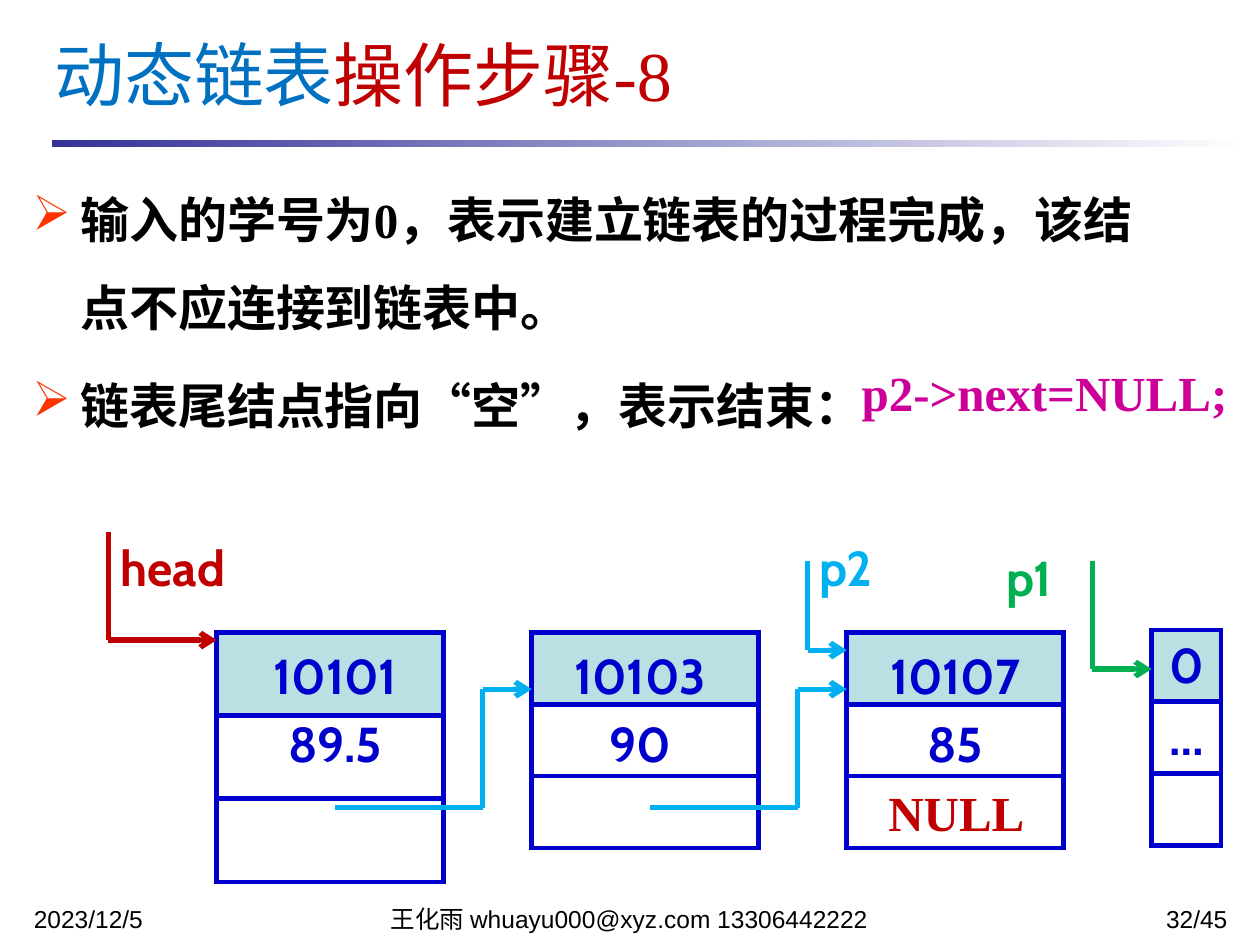
import dataclasses

import pptx
import pptx.dml.color
import pptx.enum.shapes
import pptx.enum.text
import pptx.oxml
import pptx.oxml.ns
import pptx.util
from pptx.util import Inches

ALIGN = pptx.enum.text.PP_ALIGN
ANCHOR = pptx.enum.text.MSO_ANCHOR


@dataclasses.dataclass(frozen=True)
class Theme:
    black: str = "000000"
    white: str = "FFFFFF"
    title_blue: str = "0070C0"
    red: str = "C00000"
    bar: str = "333399"
    bullet: str = "FF3300"
    border: str = "0000CC"
    header: str = "BBE0E3"
    green: str = "00B050"
    sky: str = "00B0F0"
    code: str = "CC0099"
    serif: str = "Times New Roman"
    sans: str = "Arial"
    label: str = "Cabin"
    asian: str = "Noto Sans CJK SC"
    title_size: int = 40
    text_size: int = 28
    footer_size: int = 14
    line_width: int = 3


def color(value):
    return pptx.dml.color.RGBColor.from_string(value)


def add_xml(parent, tag, inner="", **attributes):
    pairs = "".join(f' {key}="{value}"' for key, value in attributes.items())
    parent.append(pptx.oxml.parse_xml(
        f'<a:{tag} {pptx.oxml.ns.nsdecls("a")}{pairs}>{inner}</a:{tag}>'))


class Painter:
    """Draws themed elements on the current page."""

    def __init__(self, theme, page):
        self.theme = theme
        self.page = page

    def span(self, para, text, ink, size=None, font=None, bold=True):
        span = para.add_run()
        span.text = text
        span.font.size = pptx.util.Pt(size or self.theme.text_size)
        span.font.bold = bold
        span.font.color.rgb = color(ink)
        span.font.name = font or self.theme.label
        add_xml(span.font._element, "ea", typeface=self.theme.asian)

    def title(self, parts, left, top, width, height):
        box = self.page.shapes.title
        box.left, box.top, box.width, box.height = map(Inches, (left, top, width, height))
        box.text_frame.vertical_anchor = ANCHOR.MIDDLE
        para = box.text_frame.paragraphs[0]
        para.alignment = ALIGN.LEFT
        for text, ink in parts:
            self.span(para, text, ink, self.theme.title_size, self.theme.serif, False)

    def gradient_bar(self, left, top, width, height):
        bar = self.page.shapes.add_shape(
            pptx.enum.shapes.MSO_SHAPE.RECTANGLE, *map(Inches, (left, top, width, height)))
        bar.shadow.inherit = False
        bar.line.fill.background()
        bar.fill.gradient()
        bar.fill.gradient_angle = 0
        for stop, ink in zip(bar.fill.gradient_stops, (self.theme.bar, self.theme.white)):
            stop.color.rgb = color(ink)

    def text(self, lines, left, top, width, height, ink, align=ALIGN.LEFT,
             spacing=None, bullet=False, **style):
        box = self.page.shapes.add_textbox(*map(Inches, (left, top, width, height)))
        frame = box.text_frame
        frame.word_wrap = True
        for index, line in enumerate(lines):
            para = frame.add_paragraph() if index else frame.paragraphs[0]
            para.alignment = align
            if spacing:
                para.line_spacing = spacing
            if bullet:
                para.space_before = pptx.util.Pt(5.6 if index else 0)
                self.bullet(para)
            self.span(para, line, ink, **style)

    def bullet(self, para):
        properties = para._p.get_or_add_pPr()
        properties.set("marL", str(Inches(0.38)))
        properties.set("indent", str(-Inches(0.38)))
        add_xml(properties, "buClr", f'<a:srgbClr val="{self.theme.bullet}"/>')
        add_xml(properties, "buChar", char="➢")

    def node(self, left, top, width, row_height, texts=()):
        table = self.page.shapes.add_table(
            3, 1, *map(Inches, (left, top, width, 3 * row_height))).table
        table.first_row = table.horz_banding = False
        for index in range(3):
            cell = table.cell(index, 0)
            cell.margin_left = cell.margin_right = Inches(0.05)
            properties = cell._tc.get_or_add_tcPr()
            for side in ("lnL", "lnR", "lnT", "lnB"):
                add_xml(properties, side,
                        f'<a:solidFill><a:srgbClr val="{self.theme.border}"/></a:solidFill>',
                        w=pptx.util.Pt(self.theme.line_width))
            cell.fill.solid()
            cell.fill.fore_color.rgb = color(self.theme.white if index else self.theme.header)
            if index < len(texts):
                para = cell.text_frame.paragraphs[0]
                para.alignment = ALIGN.CENTER
                self.span(para, texts[index], self.theme.border)

    def route(self, points, ink):
        legs = list(zip(points, points[1:]))
        for index, (start, end) in enumerate(legs):
            line = self.page.shapes.add_connector(
                pptx.enum.shapes.MSO_CONNECTOR.STRAIGHT, *map(Inches, start + end))
            line.line.color.rgb = color(ink)
            line.line.width = pptx.util.Pt(self.theme.line_width)
            if index == len(legs) - 1:
                add_xml(line.line._get_or_add_ln(), "tailEnd", type="arrow")
            add_xml(line._element.spPr, "effectLst")


def main():
    theme = Theme()
    deck = pptx.Presentation()
    deck.slide_width, deck.slide_height = Inches(10), Inches(7.5)
    page = deck.slides.add_slide(deck.slide_layouts[5])
    painter = Painter(theme, page)

    painter.gradient_bar(0.41, 1.11, 9.51, 0.06)
    painter.title([("动态链表", theme.title_blue), ("操作步骤-8", theme.red)],
                  0.33, 0.08, 9.34, 1)
    for text, left, width, align in (
            ("2023/12/5", 0.17, 2.33, ALIGN.LEFT),
            ("王化雨 whuayu000@xyz.com 13306442222", 2.58, 4.83, ALIGN.CENTER),
            ("32/45", 7.92, 1.92, ALIGN.RIGHT)):
        painter.text([text], left, 7.17, width, 0.18, theme.black, align, 0.8,
                     size=theme.footer_size, font=theme.sans, bold=False)
    painter.text(["输入的学号为0，表示建立链表的过程完成，该结点不应连接到链表中。",
                  "链表尾结点指向“空”，表示结束："],
                 0.16, 1.22, 9.14, 2.11, theme.black, spacing=1.5, bullet=True,
                 font=theme.serif)
    painter.text(["p2->next=NULL;"], 6.74, 2.83, 3.23, 0.57, theme.code, font=theme.serif)

    for left, width, row_height, text_left, values in (
            (1.72, 1.8, 0.66, 1.8, ["10101", "89.5"]),
            (4.22, 1.8, 0.57, 4.22, ["10103", "90"]),
            (6.72, 1.72, 0.57, 6.72, ["10107", "85"])):
        painter.node(left, 5.02, width, row_height)
        painter.text(values, text_left, 5, 1.72, 1.19, theme.border, ALIGN.CENTER,
                     pptx.util.Pt(39))
    painter.node(9.14, 5, 0.55, 0.57, ["0", "…"])
    painter.text(["NULL"], 6.77, 6.16, 1.64, 0.57, theme.red, ALIGN.CENTER, font=theme.serif)

    for name, text_left, text_top, x, top, bottom, target, ink in (
            ("head", 0.86, 4.22, 0.86, 4.22, 5.08, 1.72, theme.red),
            ("p2", 6.41, 4.22, 6.41, 4.45, 5.16, 6.72, theme.sky),
            ("p1", 7.89, 4.3, 8.67, 4.45, 5.31, 9.14, theme.green)):
        painter.text([name], text_left, text_top, 1.33, 0.57, ink)
        painter.route([(x, top), (x, bottom), (target, bottom)], ink)
    for target in (4.22, 6.72):
        bend = target - 0.39
        painter.route([(target - 1.56, 6.41), (bend, 6.41), (bend, 5.47), (target, 5.47)],
                      theme.sky)

    deck.save("out.pptx")


if __name__ == "__main__":
    main()
